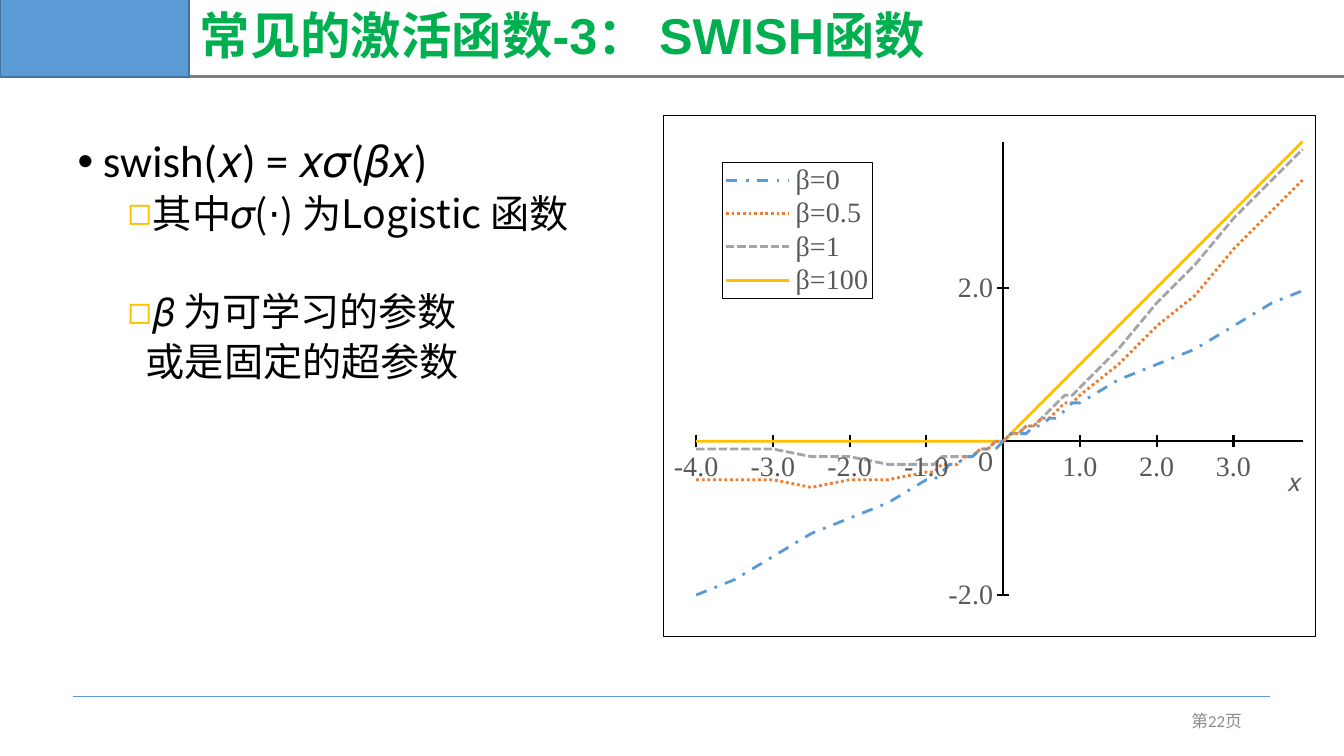
"""Build the slide on the swish activation function."""
from dataclasses import dataclass
from math import exp

from lxml.etree import SubElement
from pptx import Presentation
from pptx.chart.data import XyChartData
from pptx.dml.color import RGBColor
from pptx.enum.chart import XL_CHART_TYPE, XL_LEGEND_POSITION, XL_TICK_MARK
from pptx.enum.dml import MSO_LINE
from pptx.enum.shapes import MSO_CONNECTOR, MSO_SHAPE
from pptx.enum.text import MSO_ANCHOR, MSO_AUTO_SIZE, PP_ALIGN
from pptx.oxml import parse_xml
from pptx.oxml.ns import nsdecls, qn
from pptx.util import Cm, Pt

BLACK = RGBColor(0, 0, 0)
BLUE = RGBColor(0x5B, 0x9B, 0xD5)
DARK_BLUE = RGBColor(0x43, 0x73, 0x9E)
GREEN = RGBColor(0, 0xB0, 0x50)
ORANGE = RGBColor(0xED, 0x7D, 0x31)
SILVER = RGBColor(0xA5, 0xA5, 0xA5)
GOLD = RGBColor(0xFF, 0xC0, 0)
RULE_GRAY = RGBColor(0x80, 0x80, 0x80)
PAGE_GRAY = RGBColor(0x8C, 0x8C, 0x8C)
LABEL_GRAY = RGBColor(0x59, 0x59, 0x59)
EAST_ASIAN = "Noto Sans CJK SC"
SERIF = "Times New Roman"


@dataclass(frozen=True)
class Box:
    left: float
    top: float
    width: float
    height: float

    def lengths(self) -> tuple:
        return Cm(self.left), Cm(self.top), Cm(self.width), Cm(self.height)


@dataclass(frozen=True)
class Rule:
    left: float
    right: float
    height: float
    color: RGBColor
    points: float


@dataclass(frozen=True)
class Style:
    size: float
    font: str
    color: RGBColor
    bold: bool = False


@dataclass(frozen=True)
class Item:
    text: str
    style: Style
    level: int
    margin: float
    hanging: float
    before: float
    bullet: str = ""
    bullet_color: str = "000000"


@dataclass(frozen=True)
class Curve:
    beta: float
    color: RGBColor
    dash: MSO_LINE


TITLE_STYLE = Style(36, "Arial", GREEN, True)
FORMULA = Style(32, "Calibri", BLACK)
DETAIL = Style(28, EAST_ASIAN, BLACK)
RULES = [Rule(1.83, 32, 17.55, BLUE, 0.5), Rule(4.34, 33.87, 1.93, RULE_GRAY, 2)]
CORNERS = [Box(0.03, 0, 4.75, 1.96), Box(0, -0.03, 4.75, 1.96)]
ITEMS = [
    Item("swish(𝑥) = 𝑥𝜎(𝛽𝑥)", FORMULA, 0, 0.64, 0.64, 10, "•"),
    Item("其中𝜎(⋅) 为Logistic 函数", DETAIL, 1, 1.9, 0.64, 5, "◻", "FFC000"),
    Item("𝛽 为可学习的参数", DETAIL, 1, 1.9, 0.64, 40, "◻", "FFC000"),
    Item("或是固定的超参数", DETAIL, 1, 1.72, 0, 5),
]
CURVES = [
    Curve(0, BLUE, MSO_LINE.DASH_DOT),
    Curve(0.5, ORANGE, MSO_LINE.ROUND_DOT),
    Curve(1, SILVER, MSO_LINE.SQUARE_DOT),
    Curve(100, GOLD, MSO_LINE.SOLID),
]
INPUTS = (
    [step / 2 for step in range(-8, -2)]
    + [step / 10 for step in range(-10, 11)]
    + [step / 2 for step in range(3, 9)]
)


def format_font(font, style: Style) -> None:
    font.size, font.name, font.bold = Pt(style.size), style.font, style.bold
    font.color.rgb = style.color


def add_span(para, text: str, style: Style) -> None:
    span = para.add_run()
    span.text = text
    format_font(span.font, style)
    east_asian = parse_xml(f'<a:ea {nsdecls("a")} typeface="{EAST_ASIAN}"/>')
    span.font._element.find(qn("a:latin")).addnext(east_asian)


def place(shape, box: Box) -> None:
    shape.left, shape.top, shape.width, shape.height = box.lengths()


def add_title(page) -> None:
    title = page.shapes.title
    place(title, Box(4.78, 0, 28.4, 1.93))
    frame = title.text_frame
    frame.auto_size, frame.vertical_anchor = MSO_AUTO_SIZE.NONE, MSO_ANCHOR.MIDDLE
    para = frame.paragraphs[0]
    para.alignment, para.line_spacing = PP_ALIGN.LEFT, 0.9
    add_span(para, "常见的激活函数-3： SWISH函数", TITLE_STYLE)


def add_item(para, item: Item) -> None:
    para.level, para.line_spacing = item.level, 0.9
    para.space_before = Pt(item.before)
    properties = para._p.get_or_add_pPr()
    properties.set("marL", str(Cm(item.margin)))
    properties.set("indent", str(-Cm(item.hanging)))
    if item.bullet:
        color = SubElement(properties, qn("a:buClr"))
        SubElement(color, qn("a:srgbClr"), val=item.bullet_color)
        SubElement(properties, qn("a:buFont"), typeface="Arial")
        SubElement(properties, qn("a:buChar"), char=item.bullet)
    else:
        SubElement(properties, qn("a:buNone"))
    add_span(para, item.text, item.style)


def add_body(page) -> None:
    body = page.placeholders[1]
    place(body, Box(1.7, 3.38, 16.87, 13.72))
    frame = body.text_frame
    frame.auto_size = MSO_AUTO_SIZE.NONE
    for number, item in enumerate(ITEMS):
        add_item(frame.add_paragraph() if number else frame.paragraphs[0], item)


def add_rule(page, rule: Rule) -> None:
    ends = Cm(rule.left), Cm(rule.height), Cm(rule.right), Cm(rule.height)
    line = page.shapes.add_connector(MSO_CONNECTOR.STRAIGHT, *ends)
    line.line.color.rgb, line.line.width = rule.color, Pt(rule.points)
    SubElement(line._element.spPr, qn("a:effectLst"))


def add_corner(page, box: Box) -> None:
    corner = page.shapes.add_shape(MSO_SHAPE.RECTANGLE, *box.lengths())
    corner.shadow.inherit = False
    corner.fill.solid()
    corner.fill.fore_color.rgb = BLUE
    corner.line.color.rgb, corner.line.width = DARK_BLUE, Pt(1)


def add_label(page, box: Box, text: str, style: Style, align, anchor, wrap: bool) -> None:
    frame = page.shapes.add_textbox(*box.lengths()).text_frame
    frame.word_wrap, frame.vertical_anchor = wrap, anchor
    frame.paragraphs[0].alignment = align
    add_span(frame.paragraphs[0], text, style)


def set_layout(parent, previous: str, inner: bool, **fractions: float) -> None:
    for old in parent.findall(qn("c:layout")):
        parent.remove(old)
    layout = parse_xml(f'<c:layout {nsdecls("c")}/>')
    manual = SubElement(layout, qn("c:manualLayout"))
    if inner:
        SubElement(manual, qn("c:layoutTarget"), val="inner")
    for mode in ("xMode", "yMode"):
        SubElement(manual, qn(f"c:{mode}"), val="edge")
    for name, value in fractions.items():
        SubElement(manual, qn(f"c:{name}"), val=str(value))
    anchor = parent.find(qn(previous)) if previous else None
    if anchor is None:
        parent.insert(0, layout)
    else:
        anchor.addnext(layout)


def black_border():
    return parse_xml(
        f'<c:spPr {nsdecls("c", "a")}><a:noFill/><a:ln w="9525"><a:solidFill>'
        '<a:srgbClr val="000000"/></a:solidFill></a:ln></c:spPr>'
    )


def format_axis(axis, low: float, major: float) -> None:
    axis.minimum_scale, axis.maximum_scale, axis.major_unit = low, 3.9, major
    axis.has_major_gridlines = False
    axis.major_tick_mark, axis.minor_tick_mark = XL_TICK_MARK.CROSS, XL_TICK_MARK.NONE
    axis.format.line.color.rgb, axis.format.line.width = BLACK, Pt(1.5)
    labels = axis.tick_labels
    labels.number_format, labels.number_format_is_linked = "#,##0.0;\\-#,##0.0;", False
    format_font(labels.font, Style(20, SERIF, LABEL_GRAY))


def add_swish_chart(page) -> None:
    data = XyChartData()
    for curve in CURVES:
        series = data.add_series(f"β={curve.beta}")
        for x in INPUTS:
            series.add_data_point(x, round(x / (1 + exp(-curve.beta * x)), 1))
    kind = XL_CHART_TYPE.XY_SCATTER_SMOOTH_NO_MARKERS
    box = Box(16.71, 2.9, 16.46, 13.16)
    chart = page.shapes.add_chart(kind, *box.lengths(), data).chart
    chart.has_title, chart.has_legend = False, True
    format_font(chart.font, Style(10, "Calibri", BLACK))
    for curve, series in zip(CURVES, chart.plots[0].series):
        series.smooth = True
        line = series.format.line
        line.color.rgb, line.width, line.dash_style = curve.color, Pt(2), curve.dash
    format_axis(chart.category_axis, -4, 1)
    format_axis(chart.value_axis, -2, 2)
    title = chart.category_axis.axis_title
    add_span(title.text_frame.paragraphs[0], "𝑥", Style(18, "Calibri", LABEL_GRAY))
    set_layout(title._element, "c:tx", False, x=0.95, y=0.66)
    chart.legend.position = XL_LEGEND_POSITION.LEFT
    chart.legend.include_in_layout = False
    format_font(chart.legend.font, Style(20, SERIF, LABEL_GRAY))
    legend = chart.element.find(".//" + qn("c:legend"))
    set_layout(legend, "c:legendPos", False, x=0.09, y=0.09, w=0.23, h=0.26)
    legend.find(qn("c:txPr")).addprevious(black_border())
    plot = chart.element.find(".//" + qn("c:plotArea"))
    set_layout(plot, "", True, x=0.05, y=0.05, w=0.93, h=0.87)
    chart.element.find(qn("c:chart")).addnext(black_border())


def main() -> None:
    deck = Presentation()
    deck.slide_width, deck.slide_height = Cm(33.87), Cm(19.05)
    page = deck.slides.add_slide(deck.slide_layouts[1])
    for rule in RULES:
        add_rule(page, rule)
    for box in CORNERS:
        add_corner(page, box)
    add_title(page)
    add_body(page)
    add_label(page, Box(23.93, 17.65, 7.62, 1.02), "第22页",
              Style(12, "Calibri", PAGE_GRAY), PP_ALIGN.RIGHT, MSO_ANCHOR.MIDDLE, True)
    add_swish_chart(page)
    add_label(page, Box(24.41, 11.05, 0.91, 1.12), "0",
              Style(20, "Cambria", LABEL_GRAY), PP_ALIGN.LEFT, MSO_ANCHOR.TOP, False)
    deck.save("out.pptx")


if __name__ == "__main__":
    main()
